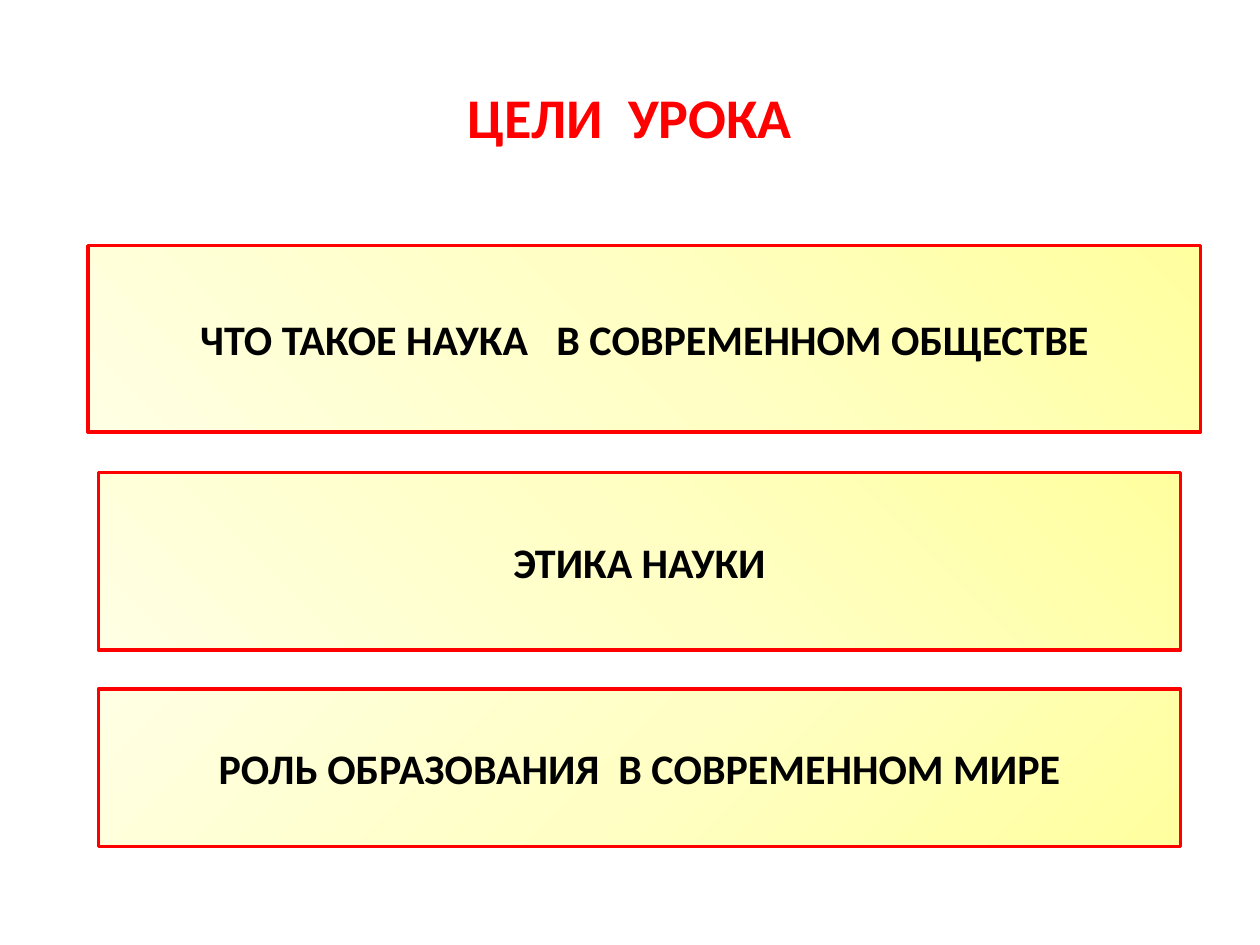
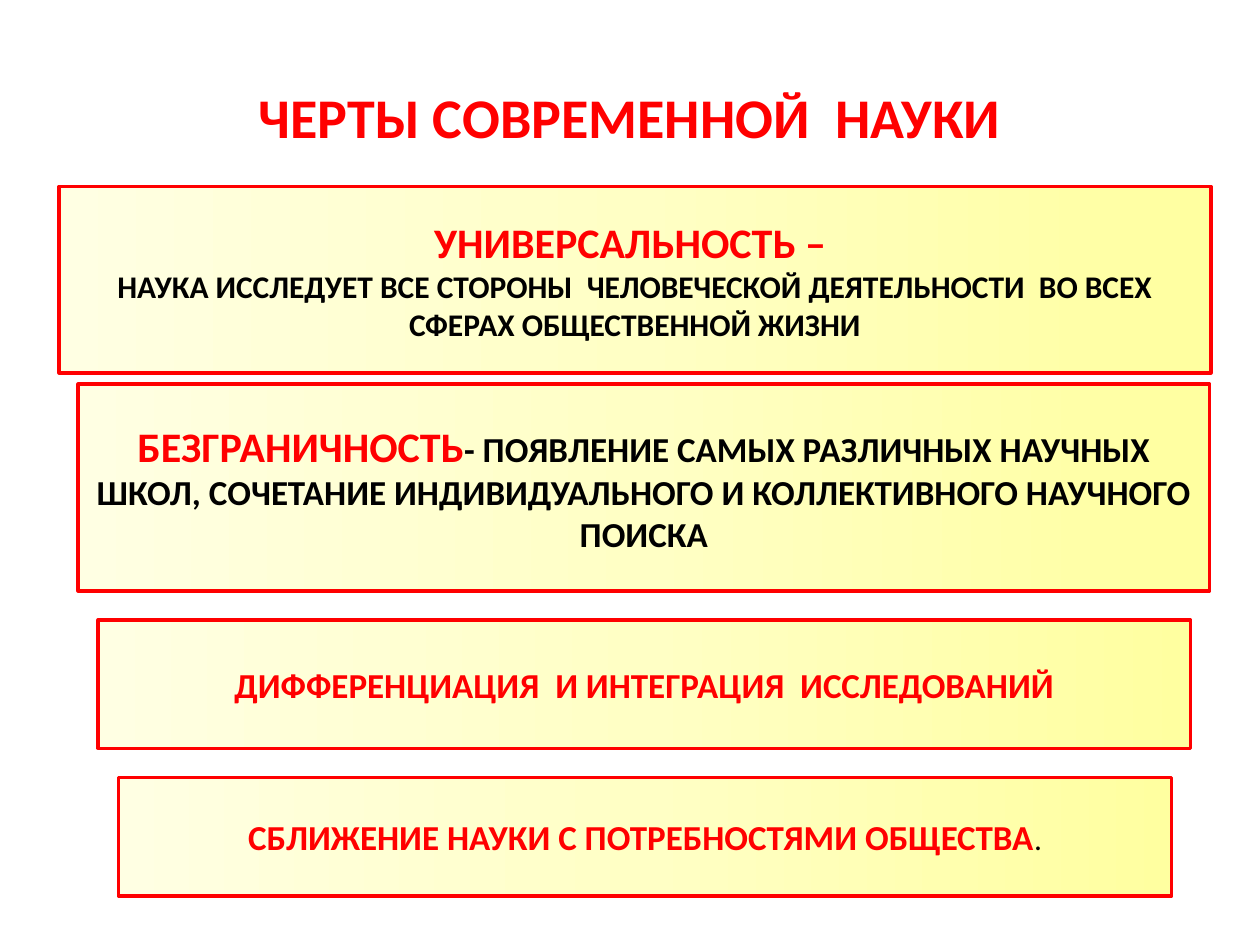
import pptx
import pptx.dml.color
import pptx.enum.shapes
import pptx.enum.text
import pptx.oxml
import pptx.oxml.ns
import pptx.util

Inches = pptx.util.Inches
Pt = pptx.util.Pt
RGBColor = pptx.dml.color.RGBColor

# Shared look
RED = RGBColor(0xFF, 0x00, 0x00)
BLACK = RGBColor(0x00, 0x00, 0x00)
STOPS = [(0, RGBColor(0xFF, 0xFF, 0xA0)),
         (50, RGBColor(0xFF, 0xFF, 0xC5)),
         (100, RGBColor(0xFF, 0xFF, 0xE3))]
FONT = "Calibri"

# Gradient directions
TOP_RIGHT = ('<a:path path="circle"><a:fillToRect l="100000" b="100000"/></a:path>'
             '<a:tileRect t="-100000" r="-100000"/>')
DIAGONAL = '<a:lin ang="13500000" scaled="1"/>'
LEFTWARD = '<a:lin ang="10800000" scaled="1"/>'


def write_text(sp, paragraphs):
    """Fill a shape with centred paragraphs of (text, size, colour, bold) runs."""
    tf = sp.text_frame
    tf.word_wrap = True
    tf.vertical_anchor = pptx.enum.text.MSO_ANCHOR.MIDDLE
    for i, runs in enumerate(paragraphs):
        p = tf.paragraphs[0] if i == 0 else tf.add_paragraph()
        p.alignment = pptx.enum.text.PP_ALIGN.CENTER
        for text, size, colour, bold in runs:
            r = p.add_run()
            r.text = text
            r.font.name = FONT
            r.font.size = Pt(size)
            r.font.bold = bold
            r.font.color.rgb = colour


def fill_gradient(sp, direction):
    """Give a shape the yellow gradient running in the given direction."""
    stops = "".join(f'<a:gs pos="{pos * 1000}"><a:srgbClr val="{colour}"/></a:gs>'
                    for pos, colour in STOPS)
    grad = pptx.oxml.parse_xml(
        f'<a:gradFill {pptx.oxml.ns.nsdecls("a")} rotWithShape="1">'
        f'<a:gsLst>{stops}</a:gsLst>{direction}</a:gradFill>')
    sp.fill.background()
    spPr = sp._element.spPr
    spPr.replace(spPr.find(pptx.oxml.ns.qn("a:noFill")), grad)


# Slide content: title, then boxes as (left, top, width, height), gradient, paragraphs
SLIDES = [
    ("ЦЕЛИ  УРОКА", [
        ((0.7, 1.95, 8.83, 1.48), TOP_RIGHT,
         [[("ЧТО ТАКОЕ НАУКА   В СОВРЕМЕННОМ ОБЩЕСТВЕ", 24, BLACK, True)]]),
        ((0.78, 3.75, 8.59, 1.41), TOP_RIGHT,
         [[("ЭТИКА НАУКИ", 24, BLACK, True)]]),
        ((0.78, 5.47, 8.59, 1.25), DIAGONAL,
         [[("РОЛЬ ОБРАЗОВАНИЯ  В СОВРЕМЕННОМ МИРЕ", 24, BLACK, True)]]),
    ]),
    ("ЧЕРТЫ СОВРЕМЕННОЙ  НАУКИ", [
        ((0.47, 1.48, 9.14, 1.48), LEFTWARD,
         [[("УНИВЕРСАЛЬНОСТЬ – ", 24, RED, True)],
          [("НАУКА ИССЛЕДУЕТ ВСЕ СТОРОНЫ  ЧЕЛОВЕЧЕСКОЙ ДЕЯТЕЛЬНОСТИ  "
            "ВО ВСЕХ СФЕРАХ ОБЩЕСТВЕННОЙ ЖИЗНИ", 18, BLACK, True)]]),
        ((0.62, 3.05, 8.98, 1.64), LEFTWARD,
         [[("БЕЗГРАНИЧНОСТЬ", 24, RED, True),
           ("- ПОЯВЛЕНИЕ САМЫХ РАЗЛИЧНЫХ НАУЧНЫХ ШКОЛ, СОЧЕТАНИЕ "
            "ИНДИВИДУАЛЬНОГО И КОЛЛЕКТИВНОГО НАУЧНОГО ПОИСКА", 20, BLACK, True)]]),
        ((0.78, 4.92, 8.67, 1.02), LEFTWARD,
         [[("ДИФФЕРЕНЦИАЦИЯ  И ИНТЕГРАЦИЯ  ИССЛЕДОВАНИЙ", 20, RED, True)]]),
        ((0.94, 6.17, 8.36, 0.94), LEFTWARD,
         [[("СБЛИЖЕНИЕ НАУКИ С ПОТРЕБНОСТЯМИ ОБЩЕСТВА", 20, RED, True),
           (".", 18, BLACK, False)]]),
    ]),
]

prs = pptx.Presentation()
prs.slide_width = Inches(10)
prs.slide_height = Inches(7.5)

for title, boxes in SLIDES:
    s = prs.slides.add_slide(prs.slide_layouts[6])

    # Title
    sp = s.shapes.add_textbox(Inches(0.5), Inches(0.3), Inches(9), Inches(1.25))
    write_text(sp, [[(title, 32, RED, True)]])

    # Framed boxes
    for place, direction, paragraphs in boxes:
        sp = s.shapes.add_shape(pptx.enum.shapes.MSO_SHAPE.RECTANGLE,
                                *[Inches(v) for v in place])
        sp.shadow.inherit = False
        fill_gradient(sp, direction)
        sp.line.color.rgb = RED
        sp.line.width = Pt(2)
        write_text(sp, paragraphs)

prs.save("out.pptx")
